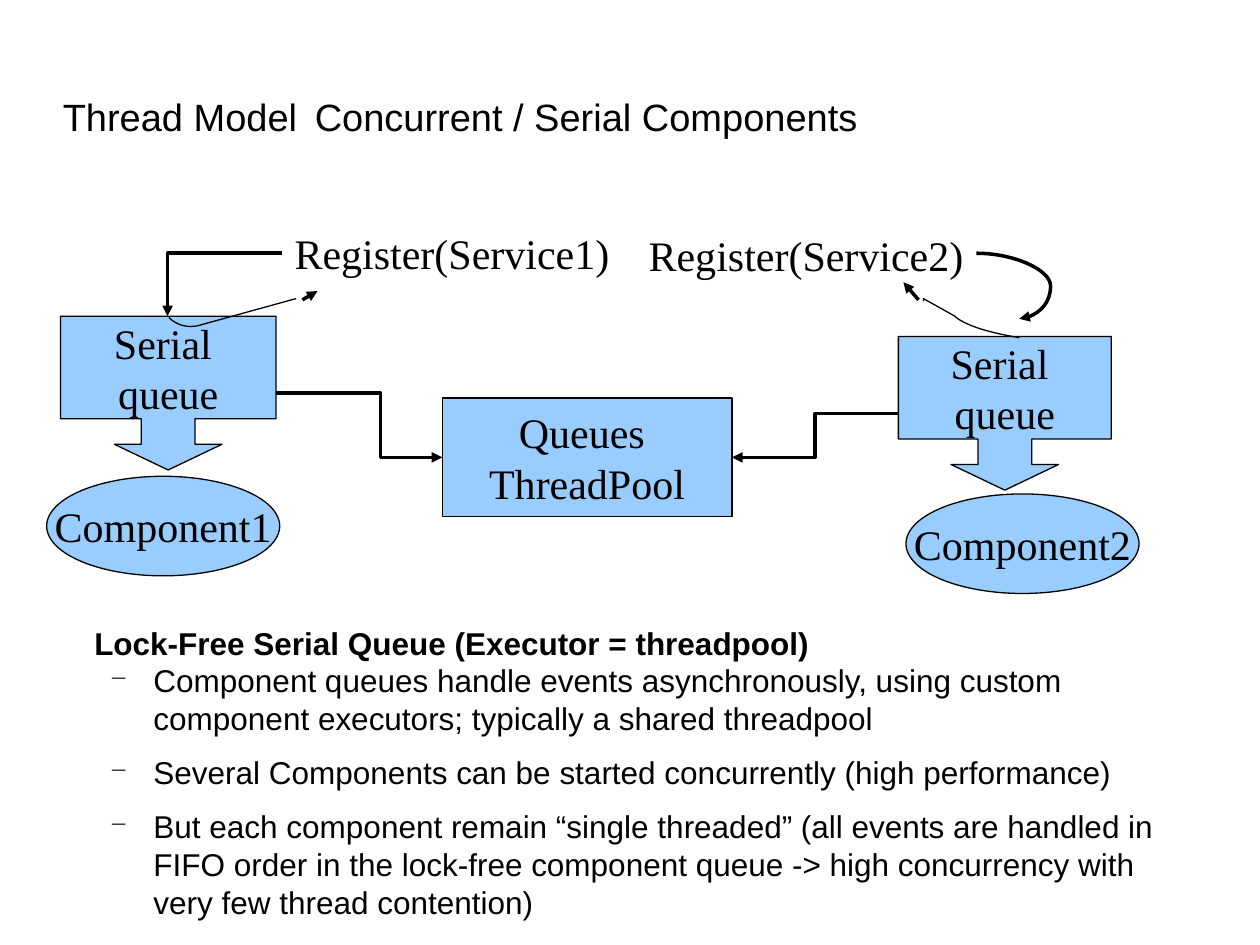
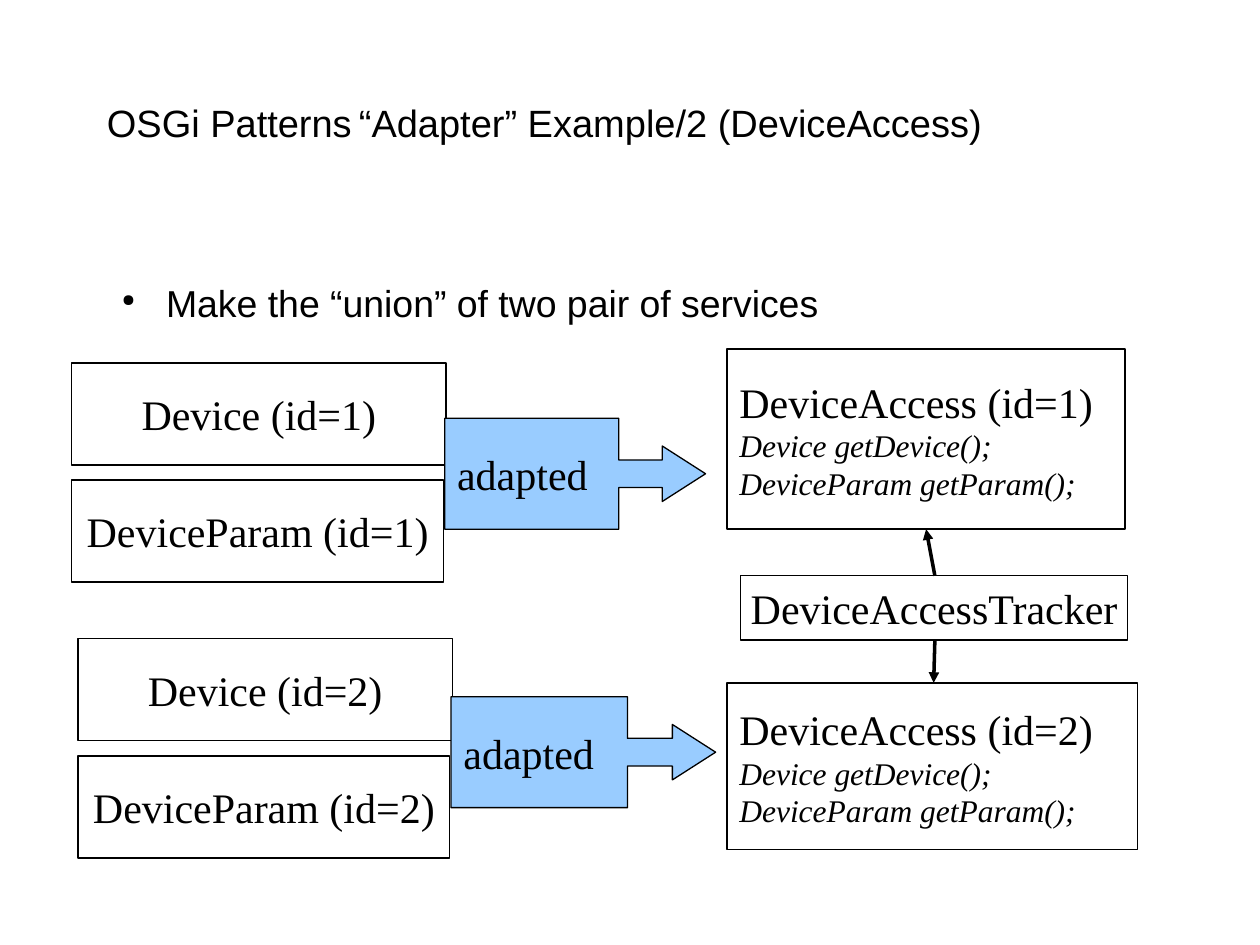
from dataclasses import dataclass
from lxml.etree import SubElement
from pptx import Presentation
from pptx.dml.color import RGBColor
from pptx.enum.shapes import MSO_CONNECTOR as Route, MSO_SHAPE as Kind
from pptx.enum.text import MSO_ANCHOR as Anchor, PP_ALIGN as Align
from pptx.oxml.ns import qn
from pptx.util import Inches, Pt


@dataclass(frozen=True)
class Style:
    font: str
    size: float
    bold: bool = False
    italic: bool = False
    align: Align = Align.LEFT
    before: float = 0
    after: float = 0
    margin: float = 0
    hanging: float = 0
    bullet: str = ""
    bullet_percent: int = 100
    tab: float = 0


class Theme:
    ink = RGBColor(0x00, 0x00, 0x00)
    blue = RGBColor(0x99, 0xCC, 0xFF)
    sans, serif = "Arial", "Times New Roman"
    title_size = 21.7
    label = Style(serif, 24)
    centred = Style(serif, 24, align=Align.CENTER)
    method = Style(serif, 18, italic=True)
    lead = Style(sans, 18, bold=True, before=6.2, margin=0.47)
    detail = Style(sans, 18, after=9.3, margin=0.94, hanging=0.35,
                   bullet="−", bullet_percent=75)
    point = Style(sans, 21.4, before=6.2, margin=0.47, hanging=0.35,
                  bullet="●", bullet_percent=45)


def add_block(slide, at, paragraphs, kind=None, fill=None, adjust=(), wrap=False, anchor=Anchor.MIDDLE):
    """Add a text box, or an outlined shape when a kind is given."""
    place = [Inches(length) for length in at]
    if kind is None:
        block = slide.shapes.add_textbox(*place)
    else:
        block = slide.shapes.add_shape(kind, *place)
        block.shadow.inherit = False
        block.line.color.rgb = Theme.ink
        block.line.width = 0
        if fill is None:
            block.fill.background()
        else:
            block.fill.solid()
            block.fill.fore_color.rgb = fill
        for index, value in enumerate(adjust):
            block.adjustments[index] = value

    frame = block.text_frame
    frame.word_wrap = wrap
    frame.vertical_anchor = anchor
    for index, (words, style) in enumerate(paragraphs):
        paragraph = frame.add_paragraph() if index else frame.paragraphs[0]
        paragraph.alignment = style.align
        paragraph.space_before = Pt(style.before)
        paragraph.space_after = Pt(style.after)
        run = paragraph.add_run()
        run.text = words
        run.font.name = style.font
        run.font.size = Pt(style.size)
        run.font.bold = style.bold
        run.font.italic = style.italic
        run.font.color.rgb = Theme.ink

        # Indents, bullet and tab stop
        props = paragraph._p.get_or_add_pPr()
        props.set("marL", str(Inches(style.margin)))
        props.set("indent", str(-Inches(style.hanging)))
        if style.bullet:
            colour = SubElement(props, qn("a:buClr"))
            SubElement(colour, qn("a:srgbClr"), val=str(Theme.ink))
            SubElement(props, qn("a:buSzPct"), val=str(style.bullet_percent * 1000))
            SubElement(props, qn("a:buChar"), char=style.bullet)
        if style.tab:
            stops = SubElement(props, qn("a:tabLst"))
            SubElement(stops, qn("a:tab"), pos=str(Inches(style.tab)), algn="l")


def add_arrow(slide, start, end, route=Route.STRAIGHT, bend=None, single_corner=False):
    """Add a hairline connector with a triangle at its end."""
    arrow = slide.shapes.add_connector(route, *[Inches(length) for length in (*start, *end)])
    arrow.line.color.rgb = Theme.ink
    arrow.line.width = 0
    SubElement(arrow.line._get_or_add_ln(), qn("a:tailEnd"), type="triangle")
    props = arrow._element.spPr
    SubElement(props, qn("a:effectLst"))
    geometry = props.find(qn("a:prstGeom"))
    if single_corner:
        geometry.set("prst", "bentConnector2")
    if bend is not None:
        guides = geometry.find(qn("a:avLst"))
        if guides is None:
            guides = SubElement(geometry, qn("a:avLst"))
        SubElement(guides, qn("a:gd"), name="adj1", fmla=f"val {round(bend * 100000)}")


deck = Presentation()
deck.slide_width, deck.slide_height = Inches(10), Inches(7.5)
blank = deck.slide_layouts[6]

# Slides and their two-part titles
titles = [
    ("Thread Model", "Concurrent / Serial Components", (0.4, 0.57, 9, 0.71), 4.2),
    ("OSGi Patterns", "“Adapter” Example/2 (DeviceAccess)", (0.75, 0.28, 9, 1.38), 2.61),
]
for topic, subject, at, tab in titles:
    slide = deck.slides.add_slide(blank)
    title = Style(Theme.sans, Theme.title_size, tab=tab)
    add_block(slide, at, [(f"{topic}\t{subject}", title)], wrap=True)
threads, adapter = deck.slides

# Thread model: each service with its serial queue and component
services = [
    (1, (2.24, 1.76), (0.48, 2.51, 1.71, 1.22), (0.37, 3.78)),
    (2, (5.05, 1.77), (7.13, 2.67, 1.69, 1.22), (7.19, 3.92)),
]
for number, register_at, queue_at, component_at in services:
    add_block(threads, (*component_at, 1.85, 0.79), [(f"Component{number}", Theme.centred)],
              Kind.OVAL, Theme.blue)
    add_block(threads, (*register_at, 2.7, 0.5), [(f"Register(Service{number})", Theme.label)],
              anchor=Anchor.TOP)
    add_block(threads, queue_at, [("Serial ", Theme.centred), ("queue", Theme.centred)],
              Kind.DOWN_ARROW_CALLOUT, Theme.blue, (0.35, 0.35, 0.167, 0.667))

add_block(threads, (3.51, 3.16, 2.3, 0.94),
          [("Queues ", Theme.centred), ("ThreadPool", Theme.centred)],
          Kind.RECTANGLE, Theme.blue)

# Queues to the thread pool, then registrations to the queues
add_arrow(threads, (2.19, 3.12), (3.51, 3.63), Route.ELBOW, bend=0.63)
add_arrow(threads, (7.13, 3.28), (5.81, 3.63), Route.ELBOW, bend=0.5)
add_arrow(threads, (2.24, 2.01), (1.33, 2.51), Route.ELBOW, single_corner=True)
add_arrow(threads, (7.75, 2.01), (8.09, 2.53), Route.CURVE, bend=1.73)

# Return paths: a Bézier curve, straight pieces, then a short arrow
returns = [
    ([(1.34, 2.52), (1.45, 2.63), (1.59, 2.58), (1.59, 2.58)],
     [(2.35, 2.37)], (2.4, 2.38), (2.52, 2.31)),
    ([(8.09, 2.68), (7.66, 2.61), (7.58, 2.51), (7.58, 2.51)],
     [(7.33, 2.37), (7.33, 2.39)], (7.29, 2.38), (7.17, 2.24)),
]
steps = 12
for controls, straight, arrow_start, arrow_end in returns:
    curve = []
    for step in range(steps + 1):
        t = step / steps
        weights = ((1 - t) ** 3, 3 * t * (1 - t) ** 2, 3 * t ** 2 * (1 - t), t ** 3)
        curve.append([sum(w * c for w, c in zip(weights, axis)) for axis in zip(*controls)])
    trace = [(Inches(x), Inches(y)) for x, y in curve + straight]
    builder = threads.shapes.build_freeform(*trace[0])
    builder.add_line_segments(trace[1:], close=False)
    return_path = builder.convert_to_shape()
    return_path.shadow.inherit = False
    return_path.fill.background()
    return_path.line.color.rgb = Theme.ink
    return_path.line.width = 0
    add_arrow(threads, arrow_start, arrow_end)

# Explanation of the serial queue
add_block(threads, (0.18, 4.9, 9.43, 2.32), [
    ("Lock-Free Serial Queue (Executor = threadpool)", Theme.lead),
    ("Component queues handle events asynchronously, using custom component executors; "
     "typically a shared threadpool", Theme.detail),
    ("Several Components can be started concurrently (high performance)", Theme.detail),
    ("But each component remain “single threaded” (all events are handled in FIFO order "
     "in the lock-free component queue -> high concurrency with very few thread contention)",
     Theme.detail),
], wrap=True, anchor=Anchor.TOP)

# Adapter: purpose
add_block(adapter, (0.75, 2.17, 8.5, 0.77),
          [("Make the “union” of two pair of services", Theme.point)],
          wrap=True, anchor=Anchor.TOP)

# Each pair of services is adapted into one DeviceAccess
pairs = [
    (1, 0.57, 2.88, (5.77, 2.77, 3.16, 1.43), (3.53, 3.32, 2.07, 0.88)),
    (2, 0.62, 5.07, (5.77, 5.42, 3.26, 1.32), (3.58, 5.53, 2.1, 0.88)),
]
for number, left, top, access_at, adapted_at in pairs:
    for row, (service, width) in enumerate([("Device", 2.97), ("DeviceParam", 2.95)]):
        add_block(adapter, (left, top + 0.93 * row, width, 0.81),
                  [(f"{service} (id={number})", Theme.centred)], Kind.RECTANGLE)
    add_block(adapter, access_at, [
        (f"DeviceAccess (id={number})", Theme.label),
        ("Device getDevice();", Theme.method),
        ("DeviceParam getParam();", Theme.method),
    ], Kind.RECTANGLE)
    add_block(adapter, adapted_at, [("adapted", Theme.label)],
              Kind.RIGHT_ARROW_CALLOUT, Theme.blue, (0.25, 0.25, 0.39, 0.667))

# The tracker follows both DeviceAccess services
add_block(adapter, (5.88, 4.57, 3.07, 0.51), [("DeviceAccessTracker", Theme.centred)],
          Kind.RECTANGLE)
add_arrow(adapter, (7.42, 4.57), (7.35, 4.2))
add_arrow(adapter, (7.42, 5.08), (7.41, 5.42))

deck.save("out.pptx")
